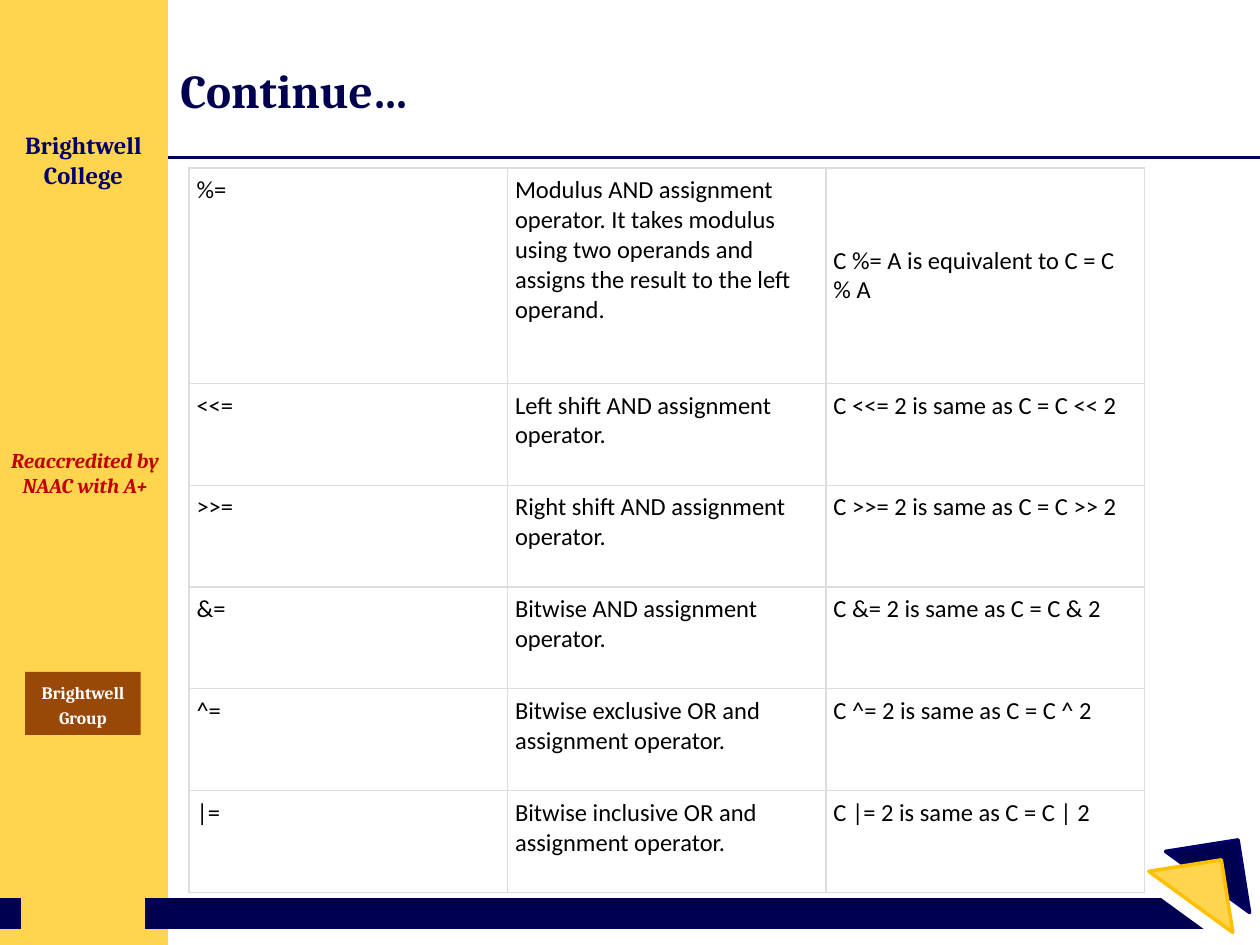
from dataclasses import dataclass

from lxml.etree import SubElement
from pptx import Presentation
from pptx.dml.color import RGBColor
from pptx.enum.shapes import MSO_CONNECTOR as Connector, MSO_SHAPE as Preset
from pptx.enum.text import MSO_ANCHOR as Anchor, PP_ALIGN as Align
from pptx.oxml.ns import qn
from pptx.util import Inches, Pt


@dataclass(frozen=True)
class Theme:
    heading: str = "Cambria"
    body: str = "Calibri"
    navy: str = "000051"
    rule: str = "000066"
    yellow: str = "FFD54F"
    amber: str = "FFC000"
    brown: str = "984807"
    red: str = "C00000"
    grid: str = "DDDDDD"
    white: str = "FFFFFF"
    black: str = "000000"
    title_size: float = 27
    text_size: float = 14
    note_size: float = 12
    badge_size: float = 10


class SlideBuilder:
    def __init__(self, presentation, theme):
        self.theme = theme
        self.unit = presentation.slide_width / 120
        self.slide = presentation.slides.add_slide(presentation.slide_layouts[6])
        self.shapes = self.slide.shapes

    def grid(self, *units):
        return [round(unit * self.unit) for unit in units]

    def shape(self, preset, box, fill, line=None):
        shape = self.shapes.add_shape(preset, *self.grid(*box))
        shape.shadow.inherit = False
        shape.fill.solid()
        shape.fill.fore_color.rgb = RGBColor.from_string(fill)
        if line:
            shape.line.color.rgb = RGBColor.from_string(line)
            shape.line.width = Pt(2)
        else:
            shape.line.fill.background()
        return shape

    def triangle(self, left, top, fill, line):
        shape = self.shape(Preset.ISOSCELES_TRIANGLE, (left, top, 7, 7), fill, line)
        shape.adjustments[0] = 0
        shape.rotation = 261
        shape._element.spPr.find(qn("a:xfrm")).set("flipH", "1")

    def line(self, start, end, color, width):
        line = self.shapes.add_connector(Connector.STRAIGHT, *self.grid(*start, *end))
        line.line.color.rgb = RGBColor.from_string(color)
        line.line.width = Pt(width)
        SubElement(line._element.spPr, qn("a:effectLst"))

    def fill_text(self, frame, text, size, color, font, bold=False, italic=None, align=None):
        frame.word_wrap = True
        paragraph = frame.paragraphs[0]
        paragraph.text = text
        paragraph.alignment = align
        paragraph.font.name = font
        paragraph.font.size = Pt(size)
        paragraph.font.bold = bold
        paragraph.font.italic = italic
        paragraph.font.color.rgb = RGBColor.from_string(color)
        return paragraph

    def text(self, box, text, size, color, anchor=Anchor.TOP, italic=None, align=Align.CENTER):
        frame = self.shapes.add_textbox(*self.grid(*box)).text_frame
        frame.vertical_anchor = anchor
        self.fill_text(frame, text, size, color, self.theme.heading, True, italic, align)

    def badge(self, box, text):
        theme = self.theme
        frame = self.shape(Preset.RECTANGLE, box, theme.brown).text_frame
        frame.margin_left = frame.margin_right = Inches(0.05)
        frame.vertical_anchor = Anchor.MIDDLE
        paragraph = self.fill_text(frame, text, theme.badge_size, theme.white,
                                   theme.heading, True, align=Align.CENTER)
        paragraph.line_spacing = 1.15

    def border(self, cell):
        properties = cell._tc.get_or_add_tcPr()
        for position, side in enumerate(("lnL", "lnR", "lnT", "lnB")):
            edge = SubElement(properties, qn(f"a:{side}"), w=str(Pt(0.75)))
            properties.insert(position, edge)
            fill = SubElement(edge, qn("a:solidFill"))
            SubElement(fill, qn("a:srgbClr"), val=self.theme.grid)

    def table(self, box, heights, rows):
        theme = self.theme
        table = self.shapes.add_table(len(rows), len(rows[0]), *self.grid(*box)).table
        table.first_row = table.horz_banding = False
        for row, height, texts in zip(table.rows, self.grid(*heights), rows):
            row.height = height
            for cell, text in zip(row.cells, texts):
                cell.margin_left = cell.margin_right = Inches(0.06)
                cell.margin_top = cell.margin_bottom = Inches(0.06)
                cell.fill.background()
                self.border(cell)
                self.fill_text(cell.text_frame, text, theme.text_size, theme.black, theme.body)
        return table


OPERATORS = [
    ("%=", "Modulus AND assignment operator. It takes modulus using two operands "
           "and assigns the result to the left operand.", "C %= A is equivalent to C = C % A"),
    ("<<=", "Left shift AND assignment operator.", "C <<= 2 is same as C = C << 2"),
    (">>=", "Right shift AND assignment operator.", "C >>= 2 is same as C = C >> 2"),
    ("&=", "Bitwise AND assignment operator.", "C &= 2 is same as C = C & 2"),
    ("^=", "Bitwise exclusive OR and assignment operator.", "C ^= 2 is same as C = C ^ 2"),
    ("|=", "Bitwise inclusive OR and assignment operator.", "C |= 2 is same as C = C | 2"),
]


def main():
    presentation = Presentation()
    presentation.slide_width, presentation.slide_height = Inches(10), Inches(7.5)
    theme = Theme()
    builder = SlideBuilder(presentation, theme)

    builder.shape(Preset.RECTANGLE, (0, 0, 16, 90), theme.yellow)
    builder.line((13.8, 87), (116, 87), theme.navy, 18)
    builder.triangle(109.4, 83.5, theme.white, theme.white)
    builder.triangle(111.5, 80.5, theme.navy, theme.rule)
    builder.triangle(109.9, 82.4, theme.yellow, theme.amber)

    builder.text((-0.6, 42, 17.4, 6), "Reaccredited by NAAC with A+",
                 theme.note_size, theme.red, italic=True)
    builder.badge((2.4, 64, 11, 6), "Brightwell Group")
    builder.text((0.4, 11.8, 15.1, 6.8), "Brightwell College", theme.text_size, theme.rule)
    builder.line((0, 87), (2, 87), theme.navy, 18)
    builder.line((16, 15), (120, 15), theme.rule, 2.25)

    builder.text((16, 3, 101, 11), "Continue…", theme.title_size, theme.navy,
                 anchor=Anchor.MIDDLE, align=Align.LEFT)
    table = builder.table((18, 16, 91, 69), [20.5] + [9.7] * 5, OPERATORS)
    table.cell(0, 2).vertical_anchor = Anchor.MIDDLE
    presentation.save("out.pptx")


if __name__ == "__main__":
    main()
